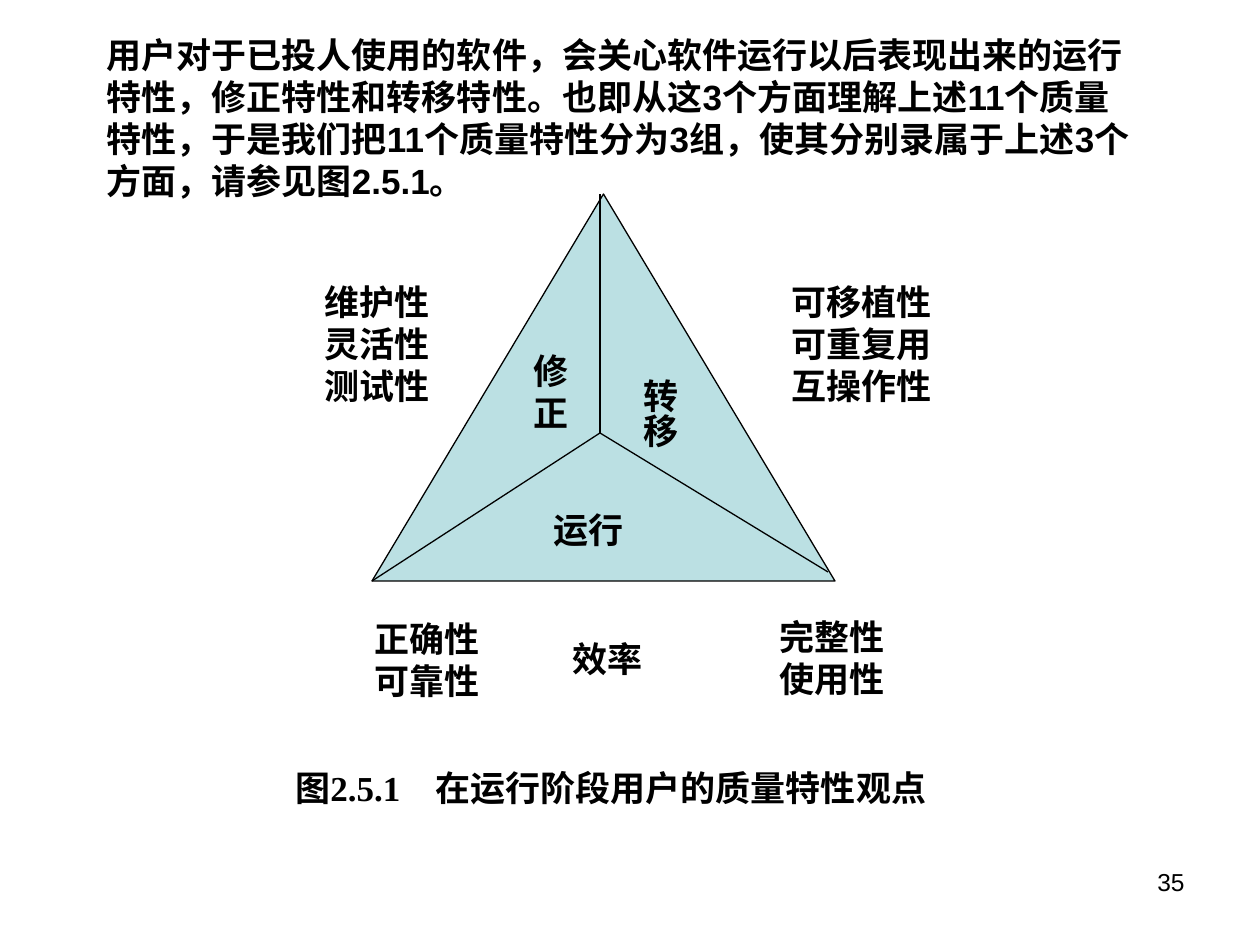
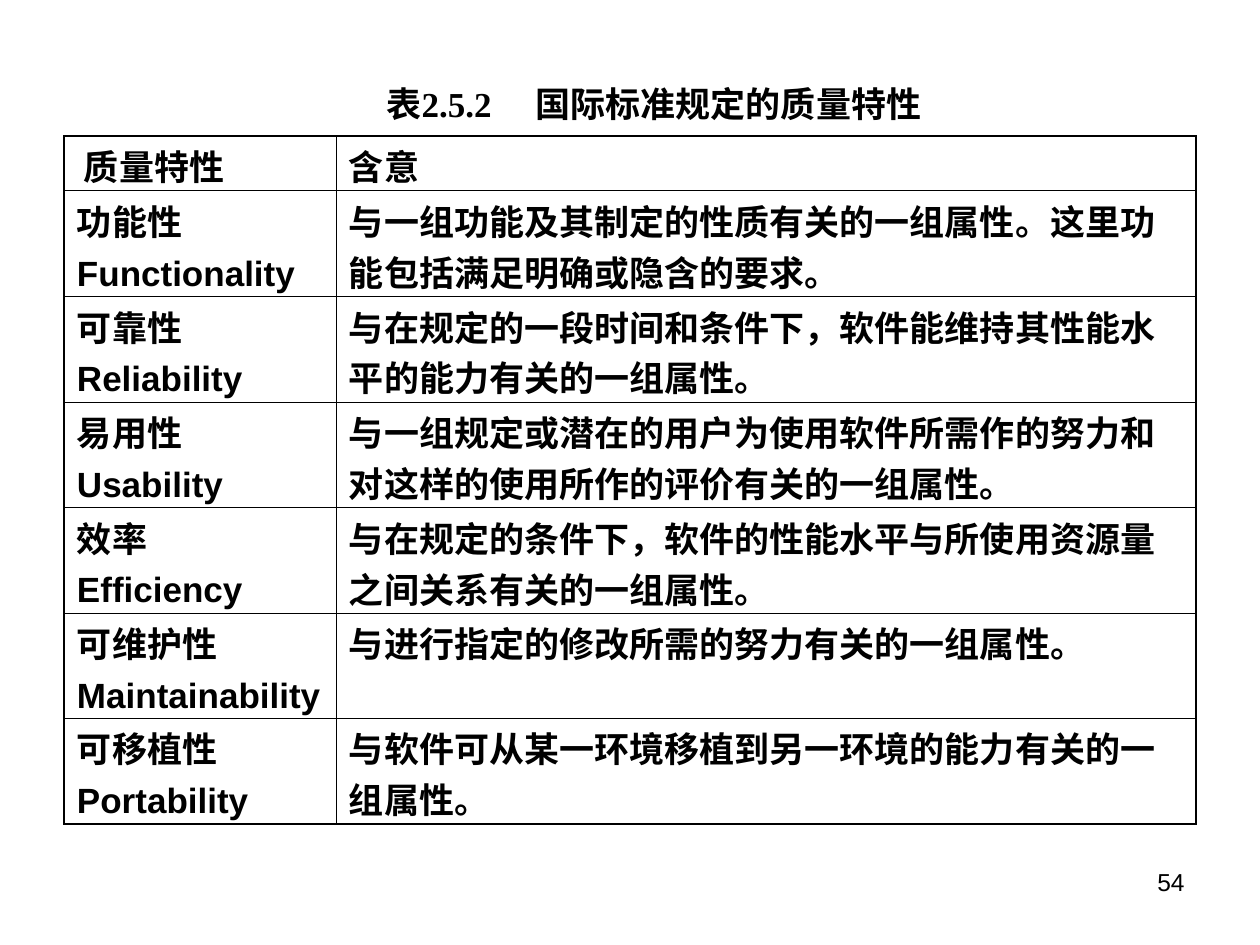
from lxml import etree
from pptx import Presentation
from pptx import util as u
from pptx.dml.color import RGBColor
from pptx.enum import shapes, text
from pptx.oxml.ns import qn

SCALE = 914400 / 126
HUES = {"ink": "000000", "face": "BBE0E3"}
SERIF, SANS = "Times New Roman", "Arial"
INK = RGBColor.from_string(HUES["ink"])


def px(n):
    return u.Emu(round(n * SCALE))


def write(frame, lines, face=SERIF, size=20, bold=True, align=text.PP_ALIGN.LEFT, gap=0, tab=0):
    for i, line in enumerate(lines):
        para = frame.paragraphs[0] if i == 0 else frame.add_paragraph()
        para.text = line
        para.alignment = align
        if i:
            para.space_before = u.Pt(gap)
        if tab:
            tabs = etree.SubElement(para._p.get_or_add_pPr(), qn("a:tabLst"))
            etree.SubElement(tabs, qn("a:tab"), pos=str(px(tab)), algn="l")
        font = para.font
        font.name, font.size, font.bold = face, u.Pt(size), bold
        font.color.rgb = INK


deck = Presentation()
deck.slide_width, deck.slide_height = px(1260), px(945)
view = deck.slides.add_slide(deck.slide_layouts[6])
norm = deck.slides.add_slide(deck.slide_layouts[5])

cone = view.shapes.add_shape(shapes.MSO_SHAPE.ISOSCELES_TRIANGLE, px(372), px(194), px(463), px(387))
cone.shadow.inherit = False
cone.fill.solid()
cone.fill.fore_color.rgb = RGBColor.from_string(HUES["face"])
cone.line.color.rgb = INK
cone.line.width = u.Pt(0.75)

hub = (600, 433)
for tip in [(600, 194), (372, 581), (828, 572)]:
    edge = view.shapes.add_connector(shapes.MSO_CONNECTOR.STRAIGHT, *map(px, hub + tip))
    edge.line.color.rgb = INK
    edge.line.width = u.Pt(0.75)
    etree.SubElement(edge._element.spPr, qn("a:effectLst"))

labels = [
    (541, 502, 163, 55, ["运行"]),
    (521, 343, 60, 97, ["修", "正"]),
    (312, 274, 192, 139, ["维护性", "灵活性", "测试性"]),
    (779, 274, 239, 139, ["可移植性", "可重复用", "互操作性"]),
    (362, 611, 163, 97, ["正确性", "可靠性"]),
    (767, 609, 130, 97, ["完整性", "使用性"]),
    (560, 631, 132, 55, ["效率"]),
]
for x, y, w, h, lines in labels:
    frame = view.shapes.add_textbox(px(x), px(y), px(w), px(h)).text_frame
    frame.word_wrap = True
    write(frame, lines)

shift = view.shapes.add_textbox(px(620), px(366), px(67), px(118)).text_frame
shift.word_wrap = True
shift.margin_left = shift.margin_right = px(6)
shift.margin_top = shift.margin_bottom = px(13)
shift._txBody.bodyPr.set("vert", "eaVert")
write(shift, ["转移"])

note = view.shapes.add_textbox(px(283), px(760), px(696), px(55)).text_frame
note.word_wrap = True
write(note, ["图2.5.1\t在运行阶段用户的质量特性观点"], tab=140)

lead = view.shapes.add_textbox(px(94), px(27), px(1050), px(223)).text_frame
lead.word_wrap = True
write(lead, ["用户对于已投人使用的软件，会关心软件运行以后表现出来的运行特性，修正特性和转移特性。"
             "也即从这3个方面理解上述11个质量特性，于是我们把11个质量特性分为3组，"
             "使其分别录属于上述3个方面，请参见图2.5.1。"], SANS)

rows = [
    (["质量特性"], "含意"),
    (["功能性", "Functionality"], "与一组功能及其制定的性质有关的一组属性。这里功能包括满足明确或隐含的要求。"),
    (["可靠性", "Reliability"], "与在规定的一段时间和条件下，软件能维持其性能水平的能力有关的一组属性。"),
    (["易用性", "Usability"], "与一组规定或潜在的用户为使用软件所需作的努力和对这样的使用所作的评价有关的一组属性。"),
    (["效率", "Efficiency"], "与在规定的条件下，软件的性能水平与所使用资源量之间关系有关的一组属性。"),
    (["可维护性", "Maintainability"], "与进行指定的修改所需的努力有关的一组属性。"),
    (["可移植性", "Portability"], "与软件可从某一环境移植到另一环境的能力有关的一组属性。"),
]
last = len(rows) - 1
grid = norm.shapes.add_table(len(rows), 2, px(64), px(136), px(1132), px(684)).table
grid.first_row = grid.horz_banding = False
grid.columns[0].width, grid.columns[1].width = px(272), px(860)
for r, (name, sense) in enumerate(rows):
    grid.rows[r].height = px(105 if r else 54)
    for c, lines in enumerate([name, [sense]]):
        cell = grid.cell(r, c)
        cell.margin_left = px(20 if r == c == 0 else 13)
        cell.margin_right, cell.margin_top, cell.margin_bottom = px(13), px(4), 0
        write(cell.text_frame, lines, SANS, gap=5)
        props = cell._tc.get_or_add_tcPr()
        sides = {"L": c == 0, "R": c == 1, "T": r == 0, "B": r == last}
        for side, outer in sides.items():
            rule = etree.SubElement(props, qn("a:ln" + side), w=str(u.Pt(1.08 if outer else 0.45)))
            fill = etree.SubElement(rule, qn("a:solidFill"))
            etree.SubElement(fill, qn("a:srgbClr"), val=HUES["ink"])
        cell.fill.background()

head = norm.shapes.title
head.left, head.top, head.width, head.height = px(374), px(76), px(600), px(55)
head.text_frame.word_wrap = True
head.text_frame.vertical_anchor = text.MSO_ANCHOR.TOP
write(head.text_frame, ["表2.5.2\t国际标准规定的质量特性"], tab=149)

for slide, page in [(view, "35"), (norm, "54")]:
    foot = slide.shapes.add_textbox(px(903), px(861), px(294), px(66)).text_frame
    foot.word_wrap = True
    write(foot, [page], SANS, 14, False, text.PP_ALIGN.RIGHT)

deck.save("out.pptx")
